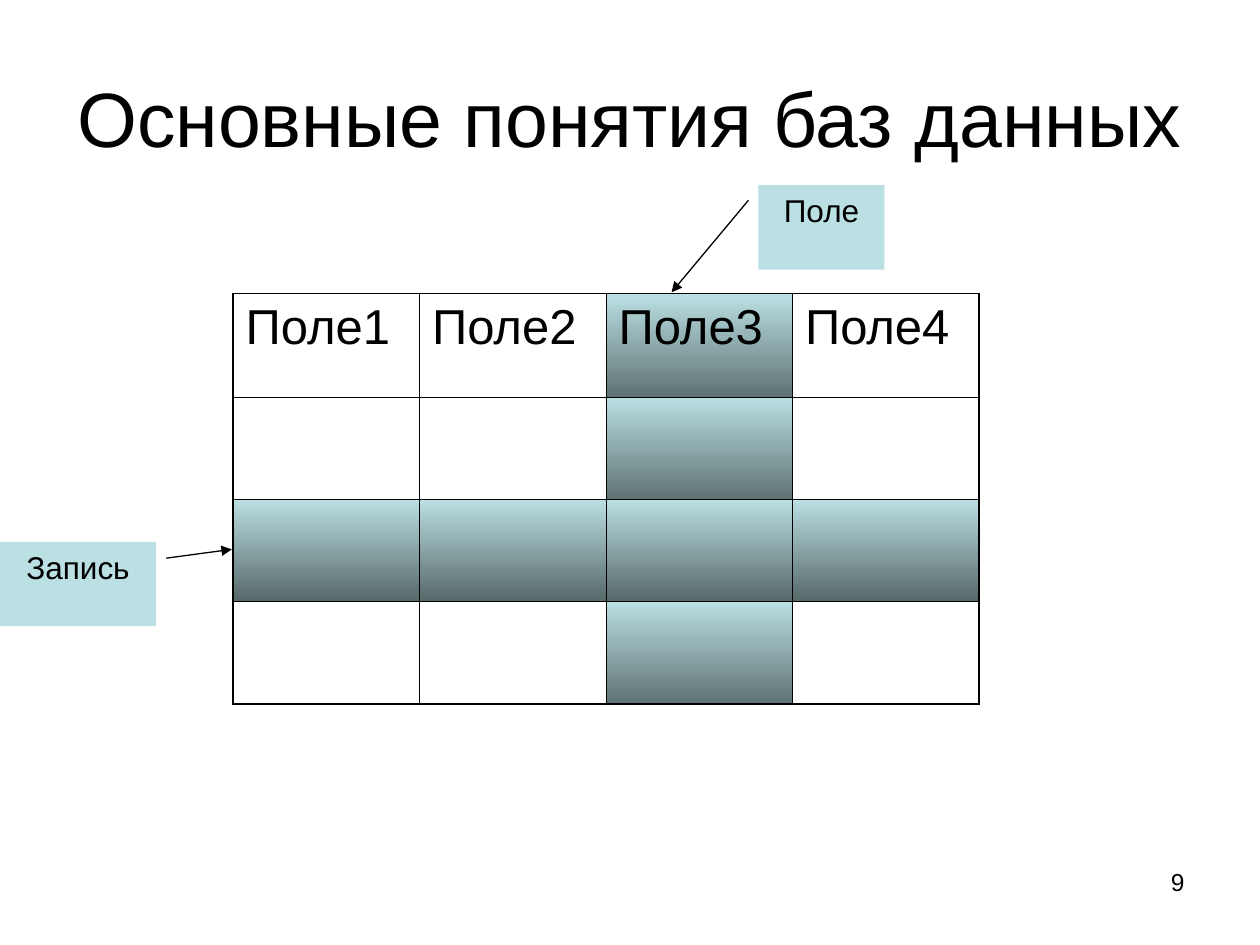
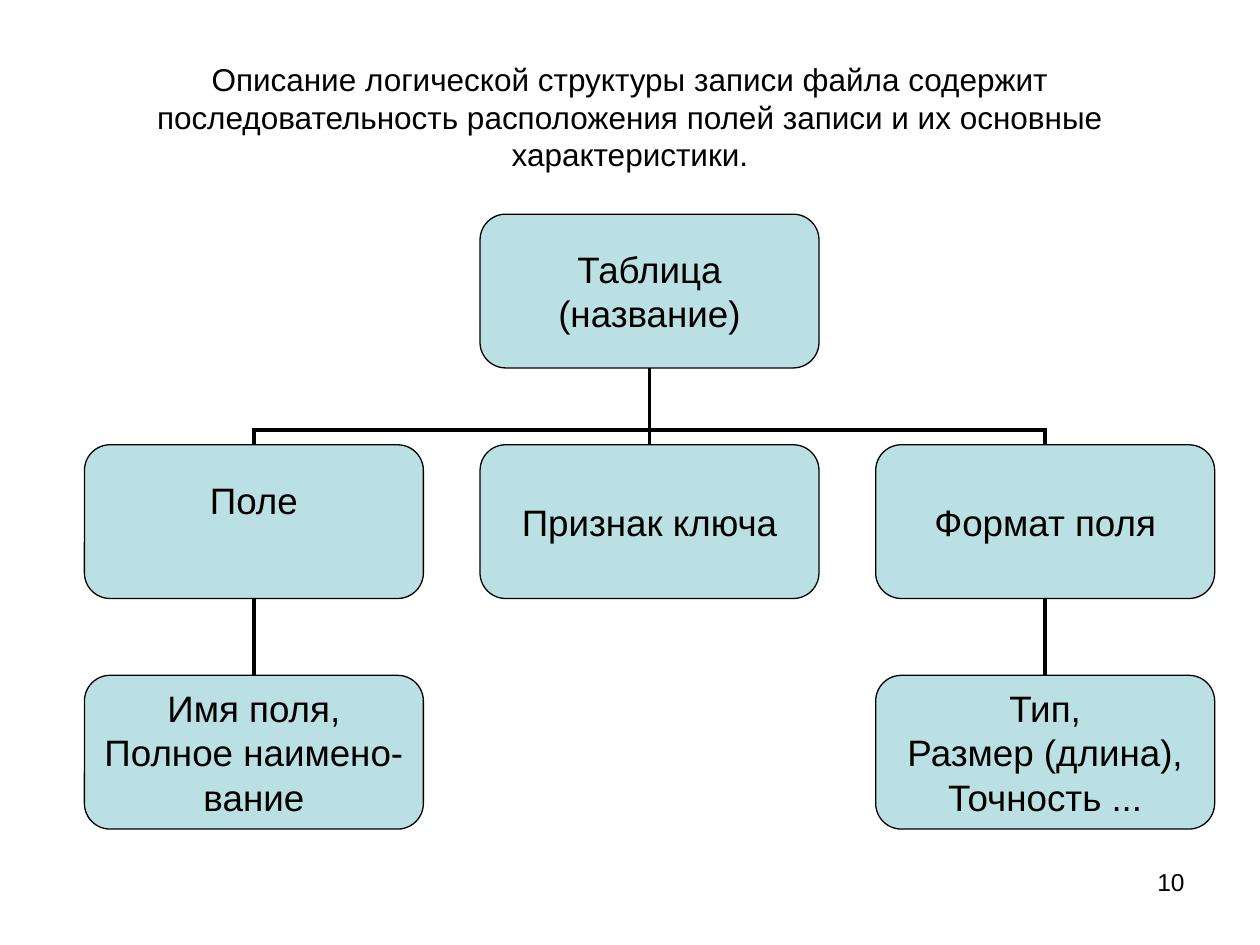
from lxml import etree
from pptx import Presentation
from pptx.dml.color import RGBColor
from pptx.enum.shapes import MSO_CONNECTOR, MSO_SHAPE
from pptx.enum.text import MSO_ANCHOR, PP_ALIGN
from pptx.oxml.ns import qn
from pptx.util import Emu, Pt

EMU_PER_PX = 9144  # 100 px to the inch
FONT = "Arial"
COLORS = {
    "ink": "000000",
    "aqua": "BBE0E3",
    "field_shade": "5F7274",
    "record_shade": "576869",
}
LEFT, CENTER, RIGHT = PP_ALIGN.LEFT, PP_ALIGN.CENTER, PP_ALIGN.RIGHT
TOP, MIDDLE = MSO_ANCHOR.TOP, MSO_ANCHOR.MIDDLE
RECTANGLE, ROUNDED = MSO_SHAPE.RECTANGLE, MSO_SHAPE.ROUNDED_RECTANGLE
STRAIGHT = MSO_CONNECTOR.STRAIGHT
TOP_SITE, BOTTOM_SITE = 0, 2
TEXT_INSETS = (10, 5, 10, 5)
THICK, THIN = 1.08, 0.45


def px(length):
    return Emu(round(length * EMU_PER_PX))


def color(name):
    return RGBColor.from_string(COLORS[name])


def write(frame, text, size, align=LEFT, anchor=TOP, insets=TEXT_INSETS, wrap=True):
    """Fill a text frame, one paragraph for each line; insets run left, top, right, bottom."""
    frame.word_wrap = wrap
    frame.vertical_anchor = anchor
    frame.margin_left, frame.margin_top, frame.margin_right, frame.margin_bottom = map(px, insets)
    for index, line in enumerate(text.split("\n")):
        para = frame.add_paragraph() if index else frame.paragraphs[0]
        para.alignment = align
        span = para.add_run()
        span.text = line
        span.font.name = FONT
        span.font.size = Pt(size)
        span.font.color.rgb = color("ink")


def set_border(cell, side, width):
    border = etree.SubElement(cell._tc.get_or_add_tcPr(), qn(f"a:ln{side}"), w=str(Pt(width)))
    fill = etree.SubElement(border, qn("a:solidFill"))
    etree.SubElement(fill, qn("a:srgbClr"), val=COLORS["ink"])


def shade_down(fill, end_color):
    """Apply a vertical gradient from aqua to the given colour."""
    fill.gradient()
    fill.gradient_angle = 270
    for stop, name, position in zip(fill.gradient_stops, ("aqua", end_color), (0, 1)):
        stop.color.rgb = color(name)
        stop.position = position


class SlideBuilder:
    def __init__(self):
        self.deck = Presentation()
        self.deck.slide_width, self.deck.slide_height = px(1000), px(750)
        self.page = None

    def new_page(self, title, title_size, number):
        self.page = self.deck.slides.add_slide(self.deck.slide_layouts[6])
        self.text_box(717, 683, 233, 52, str(number), size=14, align=RIGHT)
        self.text_box(50, 30, 900, 125, title, size=title_size, align=CENTER, anchor=MIDDLE)

    def text_box(self, left, top, width, height, text, **text_format):
        box = self.page.shapes.add_textbox(*map(px, (left, top, width, height)))
        write(box.text_frame, text, **text_format)

    def block(self, kind, left, top, width, height, text, outline=None, **text_format):
        box = self.page.shapes.add_shape(kind, *map(px, (left, top, width, height)))
        box.shadow.inherit = False
        box.fill.solid()
        box.fill.fore_color.rgb = color("aqua")
        if outline:
            box.line.color.rgb = color("ink")
            box.line.width = Pt(outline)
        else:
            box.line.fill.background()
        write(box.text_frame, text, align=CENTER, **text_format)
        return box

    def line(self, start, end, width, arrow=False):
        line = self.page.shapes.add_connector(STRAIGHT, *map(px, (*start, *end)))
        line.line.color.rgb = color("ink")
        line.line.width = Pt(width)
        if arrow:
            etree.SubElement(line.line._get_or_add_ln(), qn("a:tailEnd"), type="triangle")
        etree.SubElement(line._element.spPr, qn("a:effectLst"))
        return line

    def link_down(self, parent, child, width):
        link = self.line((0, 0), (0, 0), width)
        link.begin_connect(parent, BOTTOM_SITE)
        link.end_connect(child, TOP_SITE)

    def callout(self, left, top, width, text, arrow_start, arrow_end):
        self.block(RECTANGLE, left, top, width, 67, text, size=18)
        self.line(arrow_start, arrow_end, 0.75, arrow=True)

    def field_table(self, left, top, column_width, row_heights, headers, field, record):
        """Draw a table with one column (field) and one row (record) shaded."""
        rows, columns = len(row_heights), len(headers)
        size = (columns * column_width, sum(row_heights))
        table = self.page.shapes.add_table(rows, columns, *map(px, (left, top, *size))).table
        table.first_row = table.horz_banding = False
        for column in table.columns:
            column.width = px(column_width)
        for r, height in enumerate(row_heights):
            table.rows[r].height = px(height)
            for c, header in enumerate(headers):
                cell = table.cell(r, c)
                outer_sides = {"L": c == 0, "R": c == columns - 1, "T": r == 0, "B": r == rows - 1}
                for side, is_outer in outer_sides.items():
                    set_border(cell, side, THICK if is_outer else THIN)
                if r == record:
                    shade_down(cell.fill, "record_shade")
                elif c == field:
                    shade_down(cell.fill, "field_shade")
                else:
                    cell.fill.background()
                if r == 0:
                    write(cell.text_frame, header, size=28)


def build_concepts(builder):
    builder.new_page("Основные понятия баз данных", 44, 9)
    headers = [f"Поле{number}" for number in range(1, 5)]
    builder.field_table(185, 233, 148, (82, 81, 81, 82), headers, field=2, record=2)
    builder.callout(602, 147, 100, "Поле", (594, 159), (533, 232))
    builder.callout(0, 430, 124, "Запись", (132, 443), (184, 436))


def build_structure(builder):
    builder.new_page(
        "Описание логической структуры записи файла содержит последовательность "
        "расположения полей записи и их основные характеристики.", 18, 10)
    node_width, node_height = 269, 122
    column_step, row_step = 314, 183
    line_width, bus_top = 2.25, 341

    def node(column, row, text, bottom_inset=0):
        return builder.block(
            ROUNDED, 67 + column * column_step, 170 + row * row_step, node_width, node_height,
            text, outline=0.75, size=21, anchor=MIDDLE, insets=(0, 0, 0, bottom_inset), wrap=False)

    table = node(1, 0, "Таблица\n(название)")
    field = node(0, 1, "Поле", bottom_inset=34)
    key = node(1, 1, "Признак ключа")
    field_format = node(2, 1, "Формат поля")
    names = node(0, 2, "Имя поля,\nПолное наимено-\nвание")
    details = node(2, 2, "Тип,\nРазмер (длина),\nТочность ...")

    for parent, child in ((table, key), (field, names), (field_format, details)):
        builder.link_down(parent, child, line_width)
    first_center = 67 + node_width / 2
    last_center = first_center + 2 * column_step
    builder.line((first_center - 1.5, bus_top), (last_center + 1.5, bus_top), line_width)
    for center in (first_center, last_center):
        builder.line((center, bus_top), (center, 170 + row_step), line_width)


def main():
    builder = SlideBuilder()
    build_concepts(builder)
    build_structure(builder)
    builder.deck.save("out.pptx")


if __name__ == "__main__":
    main()
